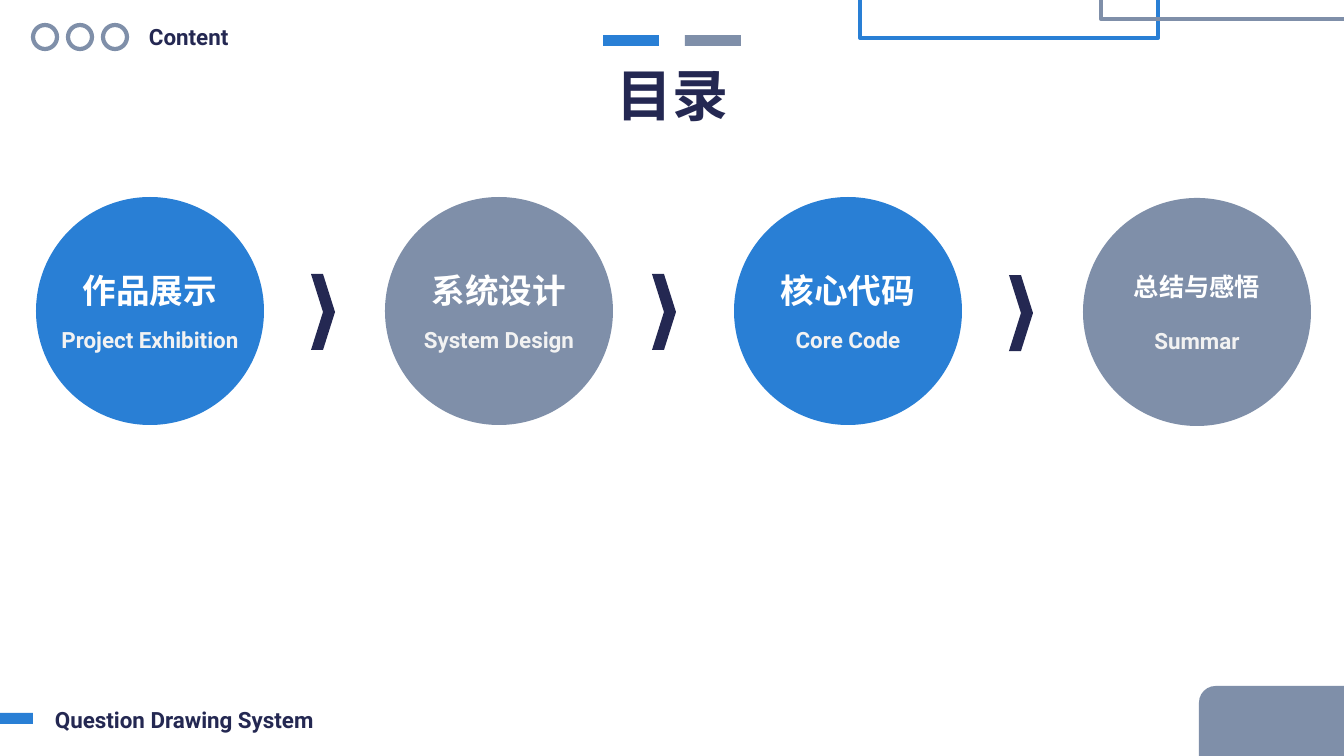
import dataclasses

import pptx
import pptx.dml.color
import pptx.enum.shapes
import pptx.enum.text
import pptx.util

SHAPE = pptx.enum.shapes.MSO_SHAPE
ALIGN = pptx.enum.text.PP_ALIGN
EMU_PER_PX = 914400 / 100.8


@dataclasses.dataclass(frozen=True)
class Theme:
    font: str = "Roboto"
    blue: str = "297FD5"
    grey: str = "7F8FA9"
    navy: str = "242852"
    white: str = "FFFFFF"
    pale: str = "F2F2F2"
    title: int = 40
    name: int = 24
    long_name: int = 18
    label: int = 16
    outline: int = 3


THEME = Theme()

# Chinese name, its size, English caption, caption width, colour, top of circle
SECTIONS = [
    ("作品展示", THEME.name, "Project Exhibition", 212, THEME.blue, 197),
    ("系统设计", THEME.name, "System Design", 188, THEME.grey, 197),
    ("核心代码", THEME.name, "Core Code", 198, THEME.blue, 197),
    ("总结与感悟", THEME.long_name, "Summar", 188, THEME.grey, 198),
]
CIRCLE_LEFT, CIRCLE_STEP, CIRCLE_SIZE, NAME_WIDTH = 36, 349, 228, 158
CHEVRONS = [(311, 274), (652, 274), (1009, 275)]


def px(length):
    return pptx.util.Emu(round(length * EMU_PER_PX))


def rgb(color):
    return pptx.dml.color.RGBColor.from_string(color)


def set_attributes(target, values):
    for name, value in values.items():
        setattr(target, name, value)


def place(shape, box):
    names = ("left", "top", "width", "height")
    set_attributes(shape, dict(zip(names, map(px, box))))


def add_filled(shapes, kind, box, color):
    shape = shapes.add_shape(kind, *map(px, box))
    shape.shadow.inherit = False
    shape.fill.solid()
    shape.fill.fore_color.rgb = rgb(color)
    shape.line.fill.background()


def add_outlined(shapes, kind, box, color):
    shape = shapes.add_shape(kind, *map(px, box))
    shape.shadow.inherit = False
    shape.fill.background()
    shape.line.color.rgb = rgb(color)
    shape.line.width = pptx.util.Pt(THEME.outline)


def write(shape, text, size, color, alignment):
    frame = shape.text_frame
    set_attributes(frame, {
        "word_wrap": True,
        "auto_size": pptx.enum.text.MSO_AUTO_SIZE.SHAPE_TO_FIT_TEXT,
        "vertical_anchor": pptx.enum.text.MSO_ANCHOR.TOP,
    })
    paragraph = frame.paragraphs[0]
    paragraph.alignment = alignment
    run = paragraph.add_run()
    run.text = text
    set_attributes(run.font, {
        "name": THEME.font, "size": pptx.util.Pt(size), "bold": True,
    })
    run.font.color.rgb = rgb(color)


def add_text(shapes, box, text, size, color, alignment=ALIGN.CENTER):
    write(shapes.add_textbox(*map(px, box)), text, size, color, alignment)


def add_section(shapes, index, section):
    name, name_size, caption, caption_width, color, top = section
    left = CIRCLE_LEFT + index * CIRCLE_STEP
    center = left + CIRCLE_SIZE // 2
    add_filled(shapes, SHAPE.OVAL, (left, top, CIRCLE_SIZE, CIRCLE_SIZE), color)
    name_box = (center - NAME_WIDTH // 2, top + 68, NAME_WIDTH, 50)
    add_text(shapes, name_box, name, name_size, THEME.white)
    caption_box = (center - caption_width // 2, top + 124, caption_width, 37)
    add_text(shapes, caption_box, caption, THEME.label, THEME.pale)


def add_decoration(shapes):
    # Three rings in the top left corner
    rings = shapes.add_group_shape()
    for index in range(3):
        box = (33 + index * 35, 25, 24, 24)
        add_outlined(rings.shapes, SHAPE.OVAL, box, THEME.grey)

    # Shapes that run over the slide edges
    add_filled(shapes, SHAPE.RECTANGLE, (-23, 713, 56, 11), THEME.blue)
    add_filled(shapes, SHAPE.ROUNDED_RECTANGLE, (1199, 686, 200, 100), THEME.grey)
    add_outlined(shapes, SHAPE.RECTANGLE, (860, -34, 298, 72), THEME.blue)
    add_outlined(shapes, SHAPE.RECTANGLE, (1101, -53, 298, 72), THEME.grey)

    # Two bars above the title
    bars = shapes.add_group_shape()
    for left, color in ((603, THEME.blue), (685, THEME.grey)):
        add_filled(bars.shapes, SHAPE.RECTANGLE, (left, 35, 56, 11), color)


def main():
    presentation = pptx.Presentation()
    presentation.slide_width = px(1344)
    presentation.slide_height = px(756)
    slide = presentation.slides.add_slide(presentation.slide_layouts[5])
    shapes = slide.shapes

    add_decoration(shapes)

    # Title, header and footer
    place(shapes.title, (366, 55, 612, 78))
    write(shapes.title, "目录", THEME.title, THEME.navy, ALIGN.CENTER)
    add_text(shapes, (139, 18, 176, 37), "Content",
             THEME.label, THEME.navy, ALIGN.LEFT)
    add_text(shapes, (45, 701, 320, 37), "Question Drawing System",
             THEME.label, THEME.navy, ALIGN.LEFT)

    # Sections and the chevrons between them
    for index, section in enumerate(SECTIONS):
        add_section(shapes, index, section)
    for left, top in CHEVRONS:
        add_filled(shapes, SHAPE.CHEVRON, (left, top, 24, 76), THEME.navy)

    presentation.save("out.pptx")


if __name__ == "__main__":
    main()
